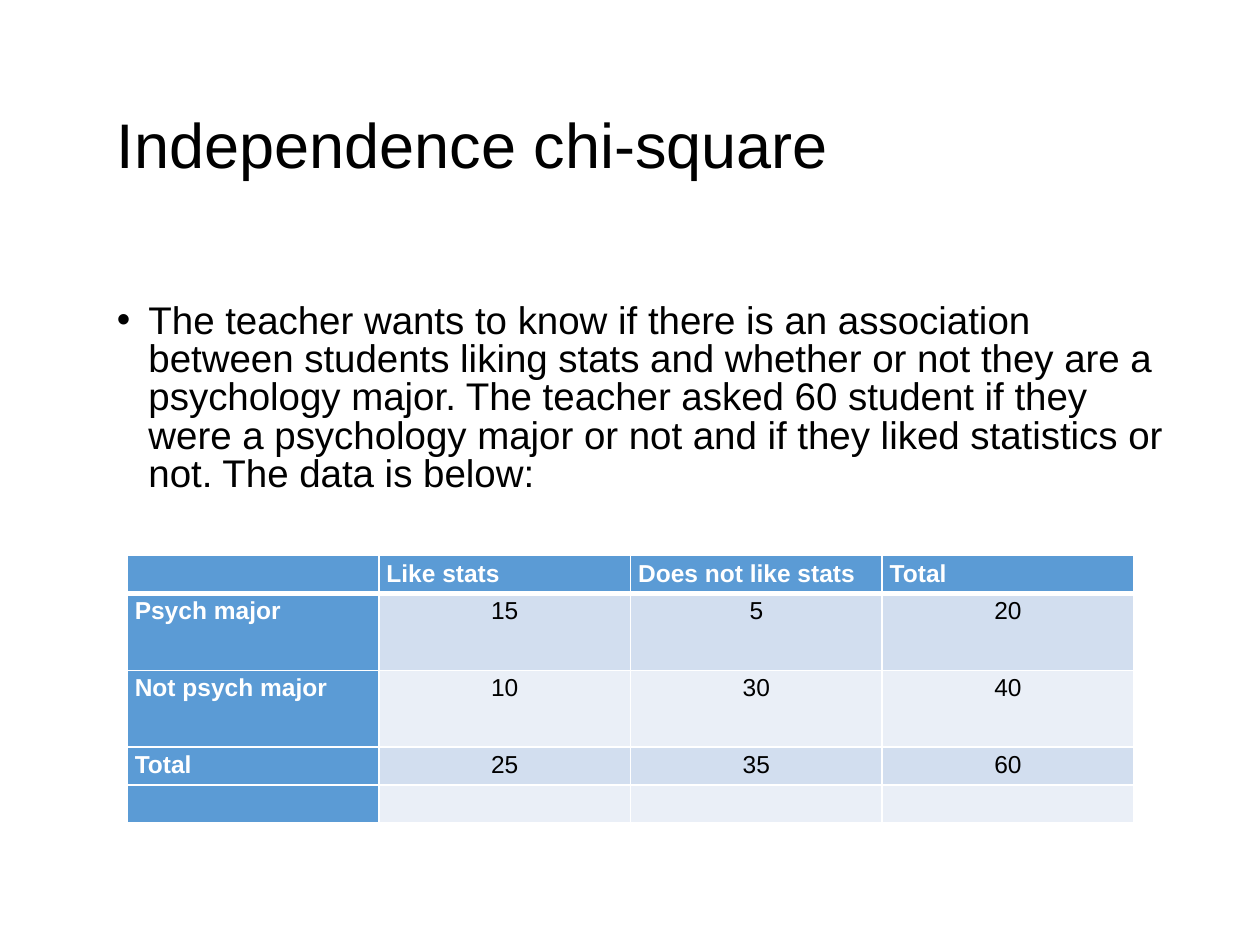
from lxml import etree
from pptx import Presentation, util as u
from pptx.dml.color import RGBColor
from pptx.enum import text as t
from pptx.oxml.ns import qn

COLORS = {"ink": "000000", "paper": "FFFFFF", "head": "5B9BD5",
          "odd": "D2DEEF", "even": "EAEFF7"}
ROWS = [
    ["", "Like stats", "Does not like stats", "Total"],
    ["Psych major", "15", "5", "20"],
    ["Not psych major", "10", "30", "40"],
    ["Total", "25", "35", "60"],
    ["", "", "", ""],
]
HEIGHTS = [0.3, 0.61, 0.61, 0.3, 0.3]
BODY = ("The teacher wants to know if there is an association between students "
        "liking stats and whether or not they are a psychology major. The teacher "
        "asked 60 student if they were a psychology major or not and if they liked "
        "statistics or not. The data is below:")


def color(name):
    return RGBColor.from_string(COLORS[name])


def write(frame, words, size, ink="ink", bold=False, align=t.PP_ALIGN.LEFT,
          space=1.0, bullet=False):
    para = frame.paragraphs[0]
    if bullet:
        props = para._p.get_or_add_pPr()
        indent = u.Inches(0.25)
        props.set("marL", str(indent))
        props.set("indent", str(-indent))
        etree.SubElement(props, qn("a:buFont"), typeface="Arial")
        etree.SubElement(props, qn("a:buChar"), char="•")
    para.alignment = align
    para.line_spacing = space
    para.text = words
    font = para.runs[0].font if words else para.font
    font.name = "Arial"
    font.size = u.Pt(size)
    font.bold = bold
    font.color.rgb = color(ink)


def edge(cell, widths):
    """Draw white borders; widths are points for left, right, top, bottom."""
    props = cell._tc.get_or_add_tcPr()
    for i, (side, width) in enumerate(zip("LRTB", widths)):
        line = etree.Element(qn(f"a:ln{side}"), w=str(u.Pt(width)))
        fill = etree.SubElement(line, qn("a:solidFill"))
        etree.SubElement(fill, qn("a:srgbClr"), val=COLORS["paper"])
        props.insert(i, line)


class Deck:
    def __init__(self):
        self.prs = Presentation()
        self.prs.slide_width = u.Inches(10)
        self.prs.slide_height = u.Inches(7.5)
        self.slide = self.prs.slides.add_slide(self.prs.slide_layouts[6])

    def text(self, box, words, size, anchor=t.MSO_ANCHOR.TOP, **style):
        frame = self.slide.shapes.add_textbox(*map(u.Inches, box)).text_frame
        frame.word_wrap = True
        frame.vertical_anchor = anchor
        write(frame, words, size, **style)

    def table(self, box, rows, heights):
        shape = self.slide.shapes.add_table(len(rows), len(rows[0]),
                                            *map(u.Inches, box))
        grid = shape.table
        grid.first_col = True
        for row, height in zip(grid.rows, heights):
            row.height = u.Inches(height)
        for r, row in enumerate(rows):
            for c, words in enumerate(row):
                self.cell(grid.cell(r, c), words, r, c)

    def cell(self, cell, words, r, c):
        head = r == 0 or c == 0
        cell.margin_left = cell.margin_right = u.Inches(0.06)
        cell.margin_top = cell.margin_bottom = 0
        cell.fill.solid()
        cell.fill.fore_color.rgb = color("head" if head else
                                         "odd" if r % 2 else "even")
        edge(cell, (1, 1, 3 if r == 1 else 1, 3 if r == 0 else 1))
        write(cell.text_frame, words, 14, ink="paper" if head else "ink",
              bold=head, space=1.15,
              align=t.PP_ALIGN.LEFT if head else t.PP_ALIGN.CENTER)


def main():
    deck = Deck()
    deck.text((0.83, 0.45, 8.62, 1.45), "Independence chi-square", 36,
              anchor=t.MSO_ANCHOR.MIDDLE, space=0.9)
    deck.text((0.83, 2.36, 8.62, 1.6), BODY, 22, space=0.83, bullet=True)
    deck.table((1.01, 4.41, 7.99, 2.1), ROWS, HEIGHTS)
    deck.prs.save("out.pptx")


if __name__ == "__main__":
    main()
